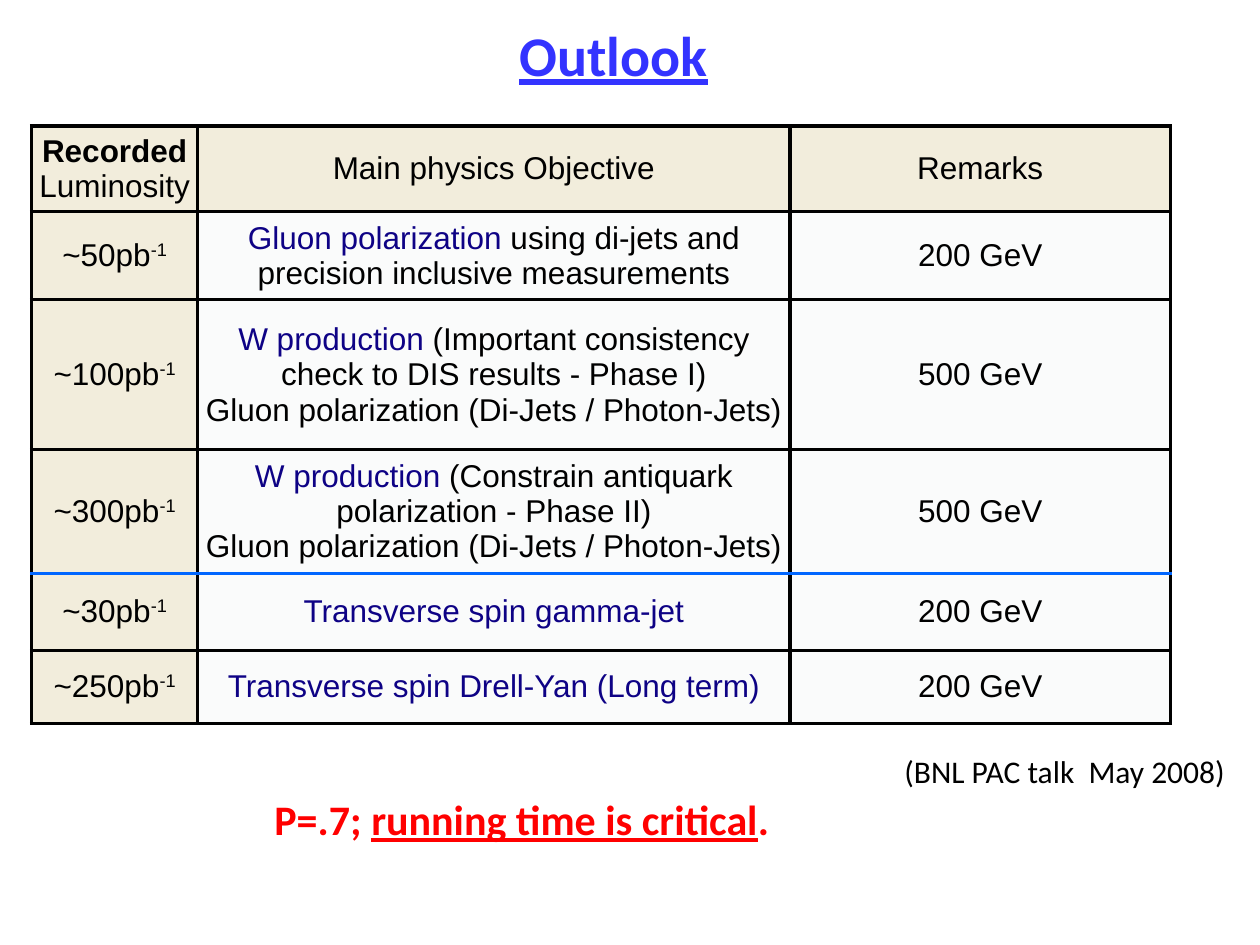
from lxml import etree
from pptx import Presentation
from pptx.dml.color import RGBColor
from pptx.enum.text import MSO_ANCHOR, PP_ALIGN
from pptx.oxml.ns import qn
from pptx.util import Inches, Pt

MID, LEFT, CENTER = MSO_ANCHOR.MIDDLE, PP_ALIGN.LEFT, PP_ALIGN.CENTER
BLACK, NAVY, BLUE = "000000", "0E0285", "0066FF"
SAND, PALE = "F2EDDC", "FAFBFB"

HEAD = [
    [[("Recorded", "b")], [("Luminosity", "")]],
    [[("Main physics Objective", "")]],
    [[("Remarks", "")]],
]
JETS = [("Gluon polarization (Di-Jets / Photon-Jets)", "")]
RUNS = [
    ("~50pb", [[("Gluon polarization", "n"),
                (" using di-jets and precision inclusive measurements", "")]], "200 GeV"),
    ("~100pb", [[("W production", "n"),
                 (" (Important consistency check to DIS results - Phase I)", "")], JETS], "500 GeV"),
    ("~300pb", [[("W production", "n"),
                 (" (Constrain antiquark polarization - Phase II)", "")], JETS], "500 GeV"),
    ("~30pb", [[("Transverse spin gamma-jet", "n")]], "200 GeV"),
    ("~250pb", [[("Transverse spin Drell-Yan (Long term)", "n")]], "200 GeV"),
]
WIDTHS = [1.32, 4.7, 3.02]
HEIGHTS = [0.67, 0.7, 1.19, 0.98, 0.61, 0.58]
SPLIT = 3
NOTES = [
    ((0.33, 0.08, 9.08, 0.7), [("Outlook", "bu")], 32, "3333FF", CENTER, True),
    ((2.08, 6.25, 4.74, 0.5),
     [("P=.7; ", "b"), ("running time is critical", "bu"), (".", "b")], 24, "FF0000", LEFT, False),
    ((7.08, 5.92, 2.77, 0.4), [("(BNL PAC talk  May 2008)", "")], 18, BLACK, LEFT, False),
]


def rgb(code):
    """Turn a hex string into a colour."""
    return RGBColor.from_string(code)


def write(frame, paras, size, face, color, align):
    """Fill a text frame with paragraphs of marked runs."""
    for i, parts in enumerate(paras):
        para = frame.add_paragraph() if i else frame.paragraphs[0]
        para.alignment = align
        font = para.font
        font.size, font.name = Pt(size), face
        font.color.rgb = rgb(color)
        for text, marks in parts:
            run = para.add_run()
            run.text = text
            if "b" in marks:
                run.font.bold = True
            if "u" in marks:
                run.font.underline = True
            if "n" in marks:
                run.font.color.rgb = rgb(NAVY)
            if "s" in marks:
                run.font._element.set("baseline", "32000")


def edge(cell, row):
    """Draw the four borders of a cell."""
    props = cell._tc.get_or_add_tcPr()
    for i, side in enumerate("LRTB"):
        blue = (side, row) in (("B", SPLIT), ("T", SPLIT + 1))
        line = etree.Element(qn("a:ln" + side), w=str(Pt(2.25 if blue else 2)))
        fill = etree.SubElement(line, qn("a:solidFill"))
        etree.SubElement(fill, qn("a:srgbClr"), val=BLUE if blue else BLACK)
        props.insert(i, line)


def main():
    """Build the slide and save it."""
    deck = Presentation()
    deck.slide_width, deck.slide_height = Inches(10), Inches(7.5)
    slide = deck.slides.add_slide(deck.slide_layouts[6])

    rows = [HEAD] + [[[[(lum, ""), ("-1", "s")]], goal, [[(beam, "")]]]
                     for lum, goal, beam in RUNS]
    box = [Inches(n) for n in (0.25, 1, sum(WIDTHS), sum(HEIGHTS))]
    table = slide.shapes.add_table(len(rows), len(WIDTHS), *box).table
    for col, width in zip(table.columns, WIDTHS):
        col.width = Inches(width)
    for r, (row, high) in enumerate(zip(rows, HEIGHTS)):
        table.rows[r].height = Inches(high)
        for c, paras in enumerate(row):
            cell = table.cell(r, c)
            cell.vertical_anchor = MID
            cell.margin_left = cell.margin_right = Inches(0.06)
            cell.margin_top = cell.margin_bottom = Inches(0.06)
            cell.fill.solid()
            cell.fill.fore_color.rgb = rgb(PALE if r and c else SAND)
            edge(cell, r)
            write(cell.text_frame, paras, 18, "Arial", BLACK, CENTER)
            if not r:
                for para in cell.text_frame.paragraphs:
                    para.font.bold = False

    for place, parts, size, color, align, wrap in NOTES:
        frame = slide.shapes.add_textbox(*[Inches(n) for n in place]).text_frame
        frame.word_wrap = wrap
        frame.vertical_anchor = MID
        write(frame, [parts], size, "Calibri", color, align)

    deck.save("out.pptx")


if __name__ == "__main__":
    main()
